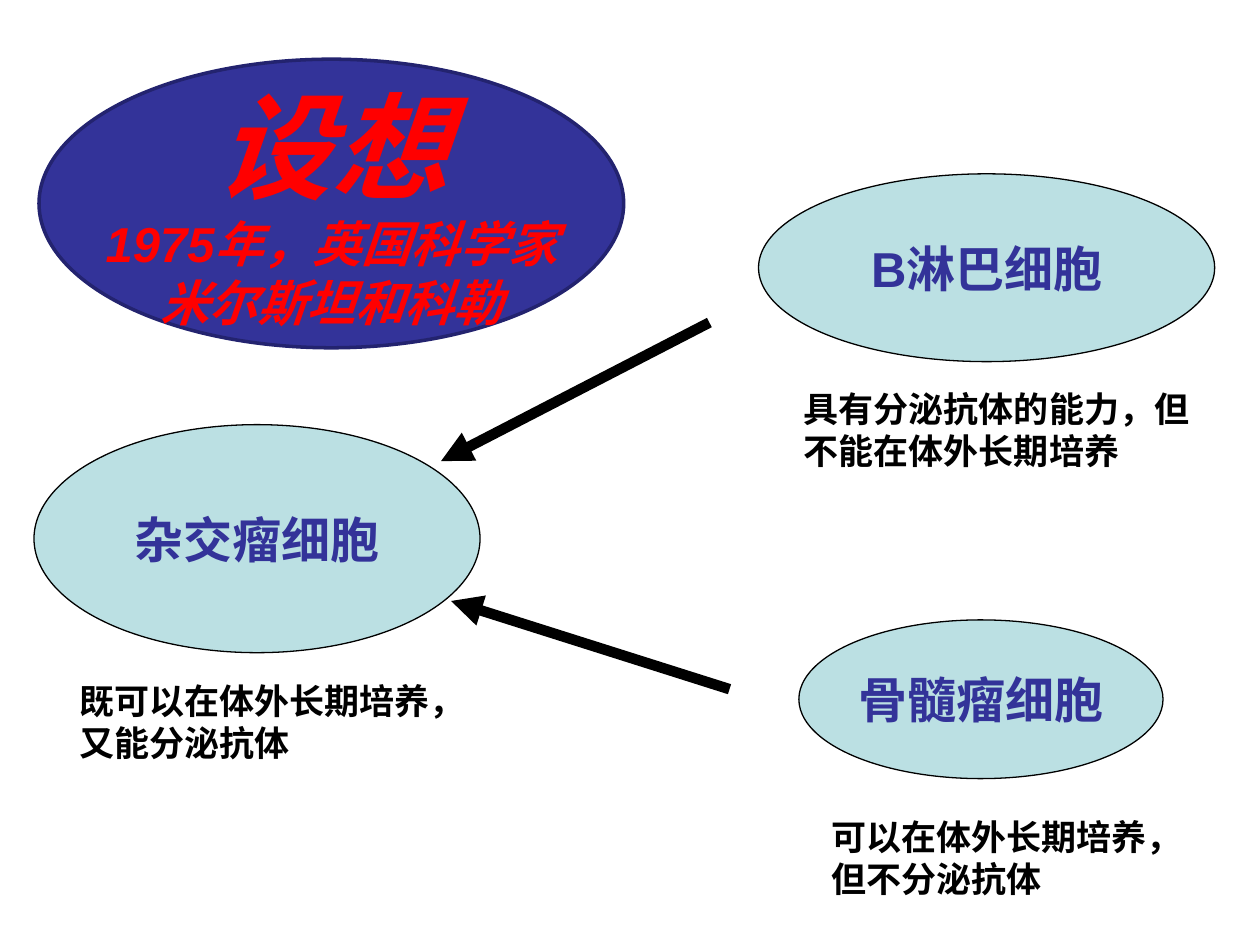
"""Build the hybridoma idea slide: two parent cells fused into one hybrid cell."""
from dataclasses import dataclass

from lxml import etree
from pptx import Presentation
from pptx.dml.color import RGBColor
from pptx.enum import shapes, text
from pptx.oxml import ns
from pptx.util import Inches, Pt

COLORS = {
    "cell": "BBE0E3",
    "navy": "333399",
    "navy_edge": "23236F",
    "red": "FF0000",
    "black": "000000",
}
FONT = "Arial"


@dataclass(frozen=True)
class Box:
    left: float
    top: float
    width: float
    height: float

    def lengths(self) -> list:
        return [Inches(value) for value in (self.left, self.top, self.width, self.height)]


@dataclass(frozen=True)
class Oval:
    box: Box
    lines: tuple[str, ...]
    sizes: tuple[int, ...] = (28,)
    fill: str = "cell"
    edge: str = "black"
    edge_width: float = 0.75
    color: str = "navy"
    italic: bool = False


@dataclass(frozen=True)
class Caption:
    box: Box
    wording: str


@dataclass(frozen=True)
class Arrow:
    start: tuple[float, float]
    end: tuple[float, float]


OVALS = (
    Oval(Box(6.02, 1.38, 3.62, 1.49), ("B淋巴细胞",)),
    Oval(Box(6.34, 4.92, 2.89, 1.26), ("骨髓瘤细胞",)),
    Oval(Box(0.27, 3.37, 3.54, 1.81), ("杂交瘤细胞",)),
    Oval(
        Box(0.31, 0.47, 4.64, 2.29),
        ("设想", "1975年，英国科学家", "米尔斯坦和科勒"),
        (66, 28, 28),
        fill="navy",
        edge="navy_edge",
        edge_width=2,
        color="red",
        italic=True,
    ),
)
CAPTIONS = (
    Caption(Box(6.28, 3.03, 3.28, 0.77), "具有分泌抗体的能力，但不能在体外长期培养"),
    Caption(Box(6.5, 6.42, 3.14, 0.77), "可以在体外长期培养，但不分泌抗体"),
    Caption(Box(0.53, 5.34, 3.29, 0.77), "既可以在体外长期培养，又能分泌抗体"),
)
ARROWS = (
    Arrow((5.63, 2.56), (3.5, 3.66)),
    Arrow((5.79, 5.47), (3.58, 4.77)),
)


def rgb(name: str) -> RGBColor:
    return RGBColor.from_string(COLORS[name])


def style_paragraph(paragraph, size: int, color: str, italic: bool = False) -> None:
    for run in paragraph.runs:
        run.font.name = FONT
        run.font.size = Pt(size)
        run.font.bold = True
        run.font.italic = italic
        run.font.color.rgb = rgb(color)


def draw_oval(slide, oval: Oval) -> None:
    shape = slide.shapes.add_shape(shapes.MSO_SHAPE.OVAL, *oval.box.lengths())
    shape.shadow.inherit = False
    shape.fill.solid()
    shape.fill.fore_color.rgb = rgb(oval.fill)
    shape.line.color.rgb = rgb(oval.edge)
    shape.line.width = Pt(oval.edge_width)
    frame = shape.text_frame
    frame.word_wrap = False
    frame.vertical_anchor = text.MSO_ANCHOR.MIDDLE
    frame.text = "\n".join(oval.lines)
    for paragraph, size in zip(frame.paragraphs, oval.sizes):
        paragraph.alignment = text.PP_ALIGN.CENTER
        style_paragraph(paragraph, size, oval.color, oval.italic)


def draw_caption(slide, caption: Caption) -> None:
    frame = slide.shapes.add_textbox(*caption.box.lengths()).text_frame
    frame.word_wrap = True
    frame.auto_size = text.MSO_AUTO_SIZE.SHAPE_TO_FIT_TEXT
    frame.text = caption.wording
    style_paragraph(frame.paragraphs[0], 20, "black")


def draw_arrow(slide, arrow: Arrow) -> None:
    points = [Inches(value) for value in arrow.start + arrow.end]
    connector = slide.shapes.add_connector(shapes.MSO_CONNECTOR.STRAIGHT, *points)
    connector.line.color.rgb = rgb("black")
    connector.line.width = Pt(6)
    properties = connector.element.spPr
    line = properties.find(ns.qn("a:ln"))
    etree.SubElement(line, ns.qn("a:tailEnd"), type="triangle")
    etree.SubElement(properties, ns.qn("a:effectLst"))


def main() -> None:
    presentation = Presentation()
    presentation.slide_width = Inches(10)
    presentation.slide_height = Inches(7.5)
    slide = presentation.slides.add_slide(presentation.slide_layouts[6])
    for arrow in ARROWS:
        draw_arrow(slide, arrow)
    for oval in OVALS:
        draw_oval(slide, oval)
    for caption in CAPTIONS:
        draw_caption(slide, caption)
    presentation.save("out.pptx")


if __name__ == "__main__":
    main()
